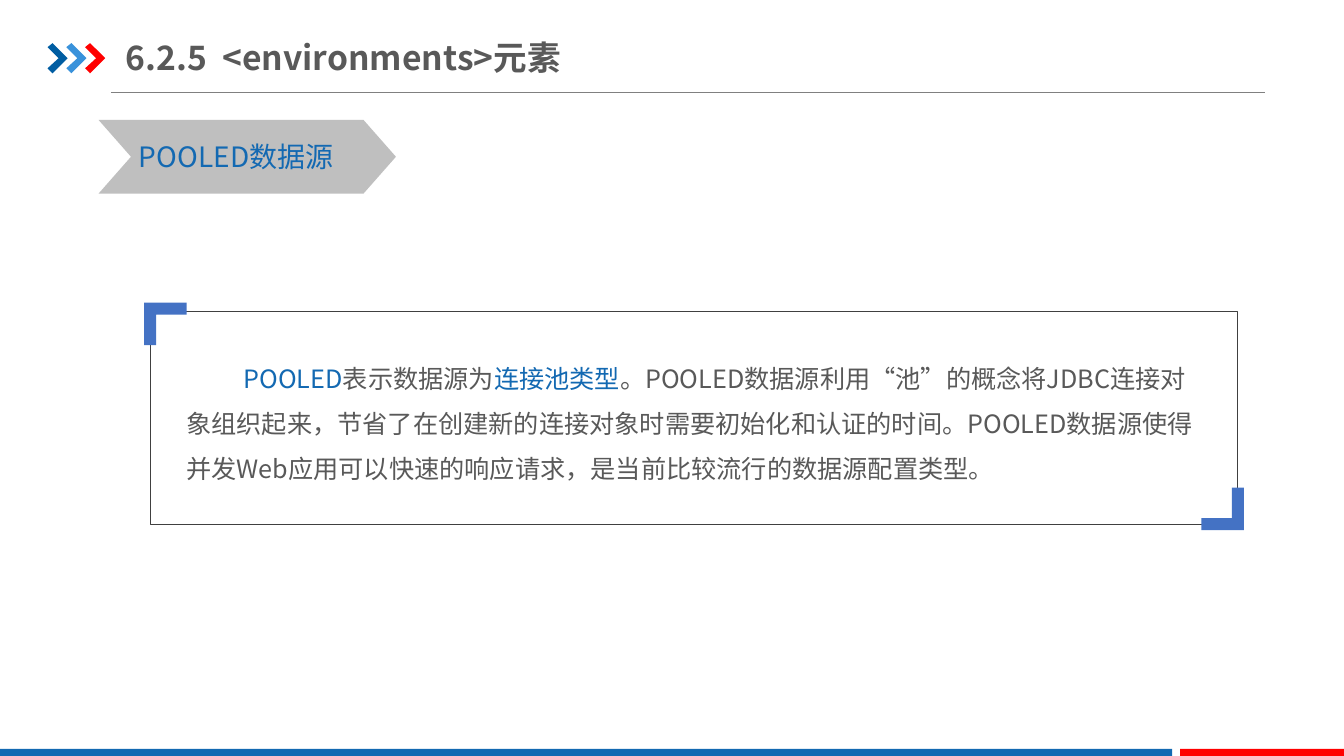
from lxml.etree import SubElement
from pptx import Presentation
from pptx.dml.color import RGBColor
from pptx.enum.shapes import MSO_CONNECTOR as CONNECTOR, MSO_SHAPE as SHAPE
from pptx.enum.text import MSO_ANCHOR as ANCHOR
from pptx.oxml.ns import qn
from pptx.util import Pt

FONT = "Noto Sans CJK SC"
COLORS = {
    "navy": "005DA2", "sky": "3992DB", "red": "FF0000", "blue": "1369B2",
    "corner": "4472C4", "silver": "BFBFBF", "rule": "808080",
    "frame": "404040", "text": "595959",
}
# Outlines in points, relative to their own origin
ARROW = [(0, 2.9), (3.6, 0), (14.4, 10.8), (3.6, 21.6), (0, 18), (7.9, 10.8)]
CORNER = [(0, 0), (30.4, 0), (30.4, 8.6), (8.6, 8.6), (8.6, 30.4), (0, 30.4)]


def rgb(color):
    return RGBColor.from_string(COLORS[color])


def paint(shape, fill=None, line=None, weight=0.25):
    shape.shadow.inherit = False
    if fill:
        shape.fill.solid()
        shape.fill.fore_color.rgb = rgb(fill)
    else:
        shape.fill.background()
    if line:
        shape.line.color.rgb = rgb(line)
        shape.line.width = Pt(weight)
    else:
        shape.line.fill.background()


def add_block(slide, kind, box, **style):
    block = slide.shapes.add_shape(kind, *map(Pt, box))
    paint(block, **style)
    return block


def add_outline(slide, points, left, top, color, direction=1):
    corners = [(Pt(left + direction * x), Pt(top + direction * y)) for x, y in points]
    builder = slide.shapes.build_freeform(*corners[0], scale=1.0)
    builder.add_line_segments(corners[1:], close=True)
    paint(builder.convert_to_shape(), color)


def add_rule(slide, left, right, y, color, weight):
    rule = slide.shapes.add_connector(
        CONNECTOR.STRAIGHT, Pt(left), Pt(y), Pt(right), Pt(y))
    rule.line.color.rgb = rgb(color)
    rule.line.width = Pt(weight)
    SubElement(rule._element.spPr, qn("a:effectLst"))


def add_text(slide, box, parts, size, bold=False, insets=(7.2, 3.6),
             anchor=ANCHOR.TOP, spacing=1.0, indent=0):
    frame = slide.shapes.add_textbox(*map(Pt, box)).text_frame
    frame.word_wrap = True
    frame.vertical_anchor = anchor
    frame.margin_left = frame.margin_right = Pt(insets[0])
    frame.margin_top = frame.margin_bottom = Pt(insets[1])
    paragraph = frame.paragraphs[0]
    paragraph.line_spacing = spacing
    if indent:
        paragraph._p.get_or_add_pPr().set("indent", str(Pt(indent)))
    for words, color in parts:
        run = paragraph.add_run()
        run.text = words
        run.font.size = Pt(size)
        run.font.bold = bold
        run.font.color.rgb = rgb(color)
        run.font.name = FONT
        SubElement(run.font._element, qn("a:ea"), typeface=FONT)


def main():
    deck = Presentation()
    deck.slide_width, deck.slide_height = Pt(960), Pt(540)
    slide = deck.slides.add_slide(deck.slide_layouts[6])

    # Header
    add_rule(slide, 79.2, 903.6, 66, "rule", 0.5)
    for step, color in enumerate(("navy", "sky", "red")):
        add_outline(slide, ARROW, 34 + 13.4 * step, 30.8, color)
    add_text(slide, (90, 21, 350.6, 39.6), [("6.2.5  <environments>元素", "text")],
             24, bold=True, insets=(0, 5), anchor=ANCHOR.MIDDLE)

    # Footer bars
    for left, width, color in ((0, 837.2, "blue"), (843, 117, "red")):
        add_block(slide, SHAPE.RECTANGLE, (left, 535, width, 5), fill=color)

    # Topic label
    banner = add_block(slide, SHAPE.CHEVRON, (70.4, 85.7, 212.4, 52.6), fill="silver")
    banner.adjustments[0] = 0.44
    add_text(slide, (92.2, 95.8, 184.3, 31.7), [("POOLED数据源", "blue")], 20)

    # Framed explanation
    add_text(slide, (126, 244.8, 739.4, 111.6), [
        ("POOLED", "blue"),
        ("表示数据源为", "text"),
        ("连接池类型", "blue"),
        ("。POOLED数据源利用“池”的概念将JDBC连接对象组织起来，"
         "节省了在创建新的连接对象时需要初始化和认证的时间。"
         "POOLED数据源使得并发Web应用可以快速的响应请求，"
         "是当前比较流行的数据源配置类型。", "text"),
    ], 18, spacing=1.5, indent=41)
    add_block(slide, SHAPE.RECTANGLE, (107.4, 222.3, 776.7, 152.2), line="frame")
    add_outline(slide, CORNER, 103, 216.2, "corner")
    add_outline(slide, CORNER, 888.5, 378.7, "corner", direction=-1)

    deck.save("out.pptx")


if __name__ == "__main__":
    main()
